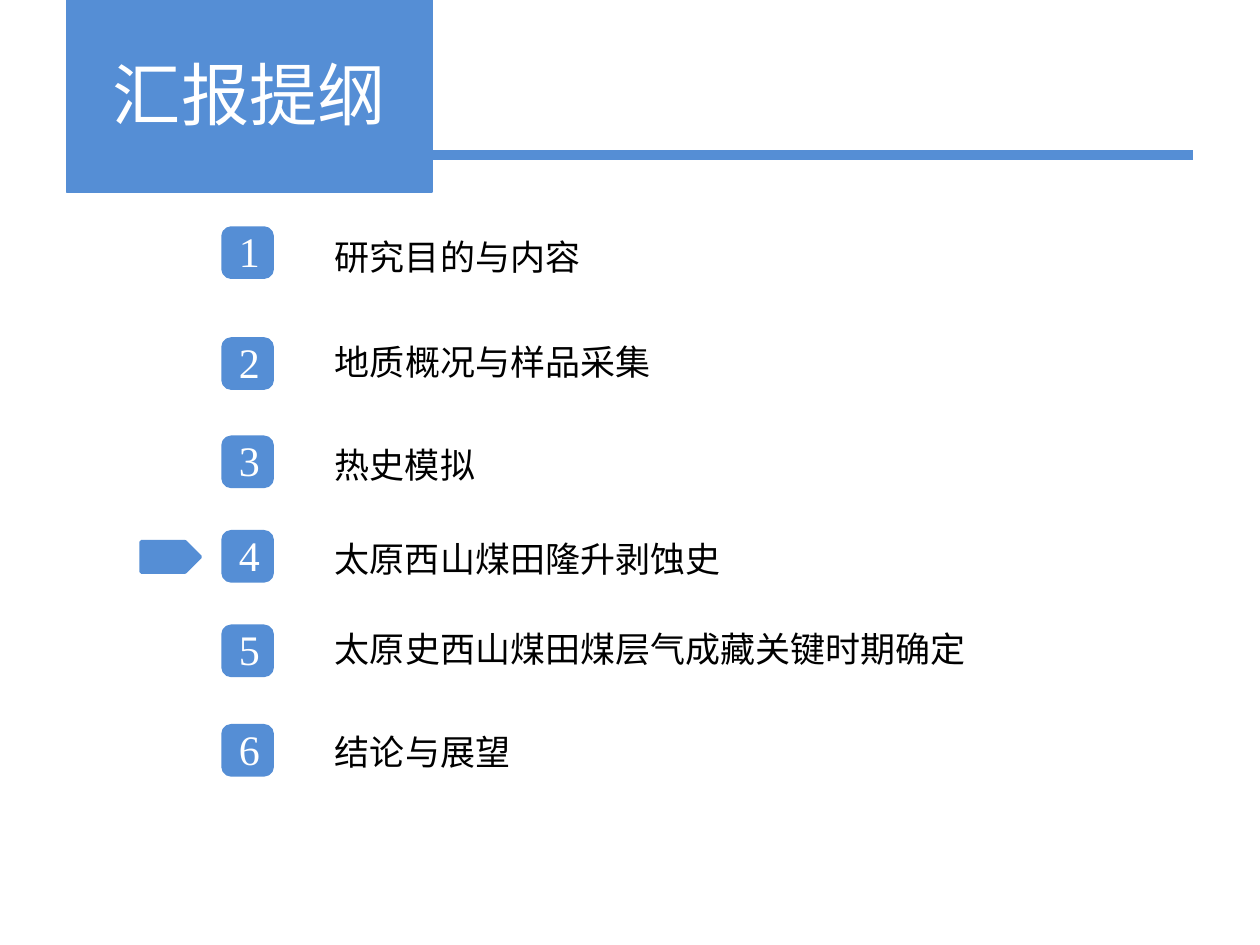
from dataclasses import dataclass

from lxml import etree
from pptx import Presentation
from pptx import util as u
from pptx.dml.color import RGBColor
from pptx.enum import shapes, text
from pptx.oxml.ns import qn


@dataclass(frozen=True)
class Theme:
    blue: RGBColor = RGBColor(0x55, 0x8E, 0xD5)
    white: RGBColor = RGBColor(0xFF, 0xFF, 0xFF)
    black: RGBColor = RGBColor(0, 0, 0)
    chinese: str = "Noto Sans CJK SC"
    digits: str = "Times New Roman"
    title_size: int = 39
    digit_size: int = 24
    topic_size: int = 20


@dataclass(frozen=True)
class Topic:
    label: str
    badge_top: float
    label_top: float
    label_width: float


THEME = Theme()
BADGE_LEFT, BADGE_SIZE = 1.77, 0.39
TOPICS = [
    Topic("研究目的与内容", 1.81, 1.82, 2.6),
    Topic("地质概况与样品采集", 2.69, 2.65, 3.62),
    Topic("热史模拟", 3.47, 3.47, 2.2),
    Topic("太原西山煤田隆升剥蚀史", 4.22, 4.22, 4.8),
    Topic("太原史西山煤田煤层气成藏关键时期确定", 4.97, 4.93, 5.35),
    Topic("结论与展望", 5.76, 5.75, 3.15),
]
CURRENT_TOPIC = TOPICS[3]


def inches(*lengths: float) -> list:
    return [u.Inches(length) for length in lengths]


def paint(shape, line_width: float) -> None:
    shape.shadow.inherit = False
    shape.fill.solid()
    shape.fill.fore_color.rgb = THEME.blue
    shape.line.color.rgb = THEME.blue
    shape.line.width = u.Pt(line_width)


def write(shape, words: str, size: int, face: str, color: RGBColor,
          align=text.PP_ALIGN.LEFT) -> None:
    frame = shape.text_frame
    frame.word_wrap = True
    frame.auto_size = text.MSO_AUTO_SIZE.SHAPE_TO_FIT_TEXT
    frame.text = words
    paragraph = frame.paragraphs[0]
    paragraph.alignment = align
    font = paragraph.font
    font.size, font.name, font.color.rgb = u.Pt(size), face, color
    # Chinese glyphs take the East Asian face
    properties = paragraph._p.pPr.find(qn("a:defRPr"))
    latin = properties.find(qn("a:latin"))
    east_asian = etree.Element(qn("a:ea"), typeface=face)
    latin.addnext(east_asian)


def draw_title(slide, words: str) -> None:
    title = slide.shapes.title
    title.left, title.top, title.width, title.height = inches(0.53, 0.36, 2.9, 0.76)
    paint(title, 0.75)
    write(title, words, THEME.title_size, THEME.chinese, THEME.white,
          text.PP_ALIGN.CENTER)
    title.text_frame.vertical_anchor = text.MSO_ANCHOR.MIDDLE


def draw_rule(slide) -> None:
    rule = slide.shapes.add_connector(
        shapes.MSO_CONNECTOR.STRAIGHT, *inches(0.53, 1.23, 9.47, 1.23))
    rule.line.color.rgb = THEME.blue
    rule.line.width = u.Pt(6)
    etree.SubElement(rule._element.spPr, qn("a:effectLst"))


def draw_topic(slide, number: int, topic: Topic) -> None:
    # Numbered badge
    group = slide.shapes.add_group_shape()
    badge = group.shapes.add_shape(
        shapes.MSO_SHAPE.ROUNDED_RECTANGLE,
        *inches(BADGE_LEFT, topic.badge_top, BADGE_SIZE, BADGE_SIZE))
    paint(badge, 2)
    digit = group.shapes.add_textbox(
        *inches(BADGE_LEFT, topic.badge_top - 0.07, BADGE_SIZE, 0.5))
    write(digit, str(number), THEME.digit_size, THEME.digits, THEME.white,
          text.PP_ALIGN.RIGHT)
    # Topic wording
    label = slide.shapes.add_textbox(
        *inches(2.56, topic.label_top, topic.label_width, 0.44))
    write(label, topic.label, THEME.topic_size, THEME.chinese, THEME.black)


def draw_marker(slide, topic: Topic) -> None:
    marker = slide.shapes.add_shape(
        shapes.MSO_SHAPE.PENTAGON, *inches(1.12, topic.badge_top + 0.08, 0.47, 0.24))
    paint(marker, 2)


def main() -> None:
    deck = Presentation()
    deck.slide_width, deck.slide_height = inches(10, 7.5)
    slide = deck.slides.add_slide(deck.slide_layouts.get_by_name("Title Only"))

    # Heading
    draw_rule(slide)
    draw_title(slide, "汇报提纲")

    # Outline, with a marker at the current topic
    for number, topic in enumerate(TOPICS, start=1):
        draw_topic(slide, number, topic)
    draw_marker(slide, CURRENT_TOPIC)

    deck.save("out.pptx")


if __name__ == "__main__":
    main()
